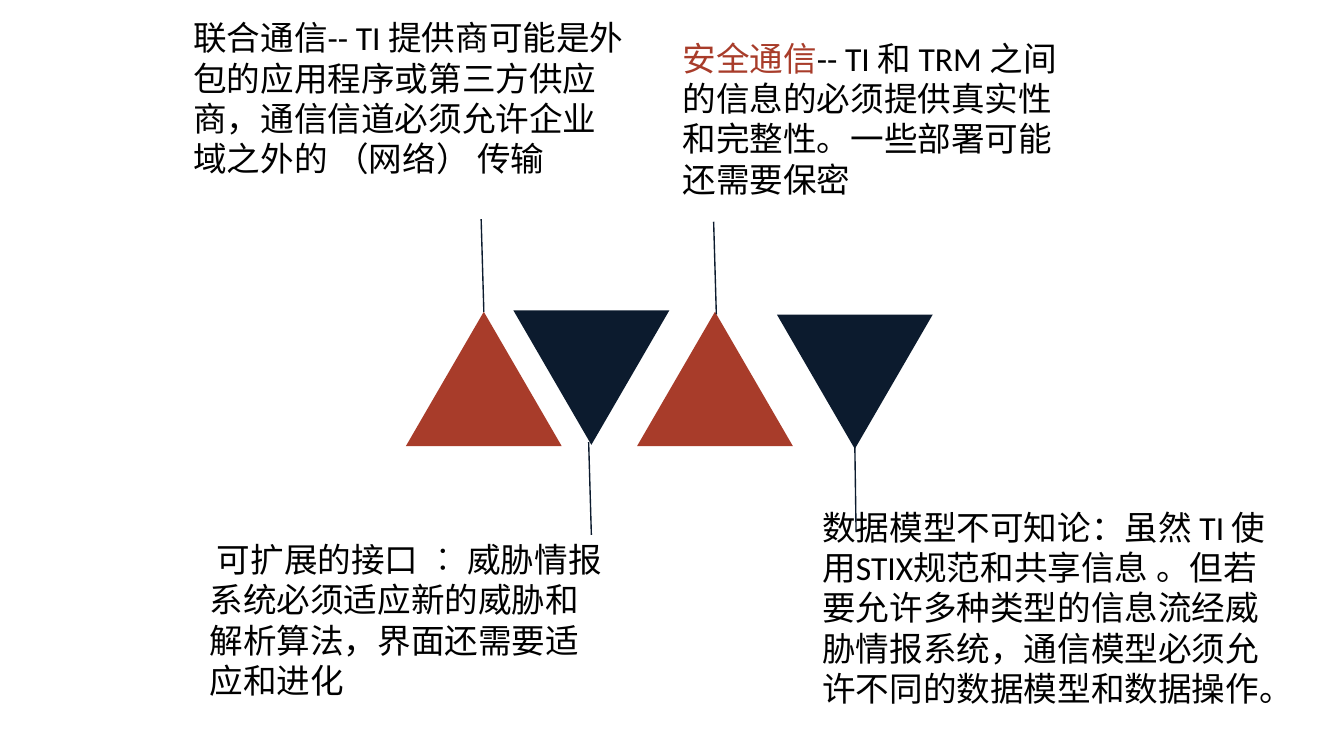
import pptx
import pptx.util
import pptx.dml.color
import pptx.enum.shapes
import pptx.enum.text
import pptx.oxml.ns

Inches = pptx.util.Inches
HUES = {"red": "A83C2A", "navy": "0C1B2E", "black": "000000"}


def rgb(hue):
    return pptx.dml.color.RGBColor.from_string(HUES[hue])


class Deck:
    font = "Calibri"
    size = 18

    def __init__(self, wide):
        self.file = pptx.Presentation()
        self.file.slide_width = Inches(wide)
        self.file.slide_height = Inches(wide * 9 / 16)
        self.slide = self.file.slides.add_slide(self.file.slide_layouts[6])

    def peak(self, left, top, hue, turn=0):
        shape = self.slide.shapes.add_shape(
            pptx.enum.shapes.MSO_SHAPE.ISOSCELES_TRIANGLE,
            Inches(left), Inches(top), Inches(1.16), Inches(1))
        shape.rotation = turn
        shape.shadow.inherit = False
        shape.fill.solid()
        shape.fill.fore_color.rgb = rgb(hue)
        shape.line.fill.background()

    def stem(self, low, high):
        line = self.slide.shapes.add_connector(
            pptx.enum.shapes.MSO_CONNECTOR.STRAIGHT,
            *(Inches(place) for place in low + high))
        line.line.color.rgb = rgb("navy")
        line.line.width = pptx.util.Pt(0.75)
        props = line._element.spPr
        props.append(props.makeelement(pptx.oxml.ns.qn("a:effectLst"), {}))

    def note(self, left, top, wide, high, text, lead=""):
        box = self.slide.shapes.add_textbox(
            Inches(left), Inches(top), Inches(wide), Inches(high))
        frame = box.text_frame
        frame.word_wrap = True
        frame.auto_size = pptx.enum.text.MSO_AUTO_SIZE.SHAPE_TO_FIT_TEXT
        para = frame.paragraphs[0]
        para.font.name = self.font
        para.font.size = pptx.util.Pt(self.size)
        para.font.color.rgb = rgb("black")
        if lead:
            run = para.add_run()
            run.text = lead
            run.font.color.rgb = rgb("red")
        para.add_run().text = text


def main():
    deck = Deck(10)
    for left in (3.02, 4.74):
        deck.peak(left, 2.32, "red")
    for left, top in ((5.78, 2.34), (3.82, 2.31)):
        deck.peak(left, top, "navy", 180)
    for low, high in (((3.6, 2.32), (3.58, 1.63)),
                      ((6.37, 3.96), (6.36, 3.28)),
                      ((5.33, 2.34), (5.31, 1.65)),
                      ((4.4, 3.98), (4.38, 3.29))):
        deck.stem(low, high)
    deck.note(1.34, 0.08, 3.4, 1.62,
              "联合通信-- TI 提供商可能是外包的应用程序或第三方供应商，"
              "通信信道必须允许企业域之外的 （网络） 传输")
    deck.note(4.98, 0.23, 2.99, 1.31,
              "-- TI 和 TRM 之间的信息的必须提供真实性和完整性。"
              "一些部署可能还需要保密", "安全通信")
    deck.note(6.02, 3.72, 3.64, 1.92,
              "数据模型不可知论：虽然 TI 使用STIX规范和共享信息 。"
              "但若要允许多种类型的信息流经威胁情报系统，"
              "通信模型必须允许不同的数据模型和数据操作。")
    deck.note(1.46, 3.96, 3.19, 1.31,
              " 可扩展的接口 ︰ 威胁情报系统必须适应新的威胁和解析算法，"
              "界面还需要适应和进化")
    deck.file.save("out.pptx")


if __name__ == "__main__":
    main()
